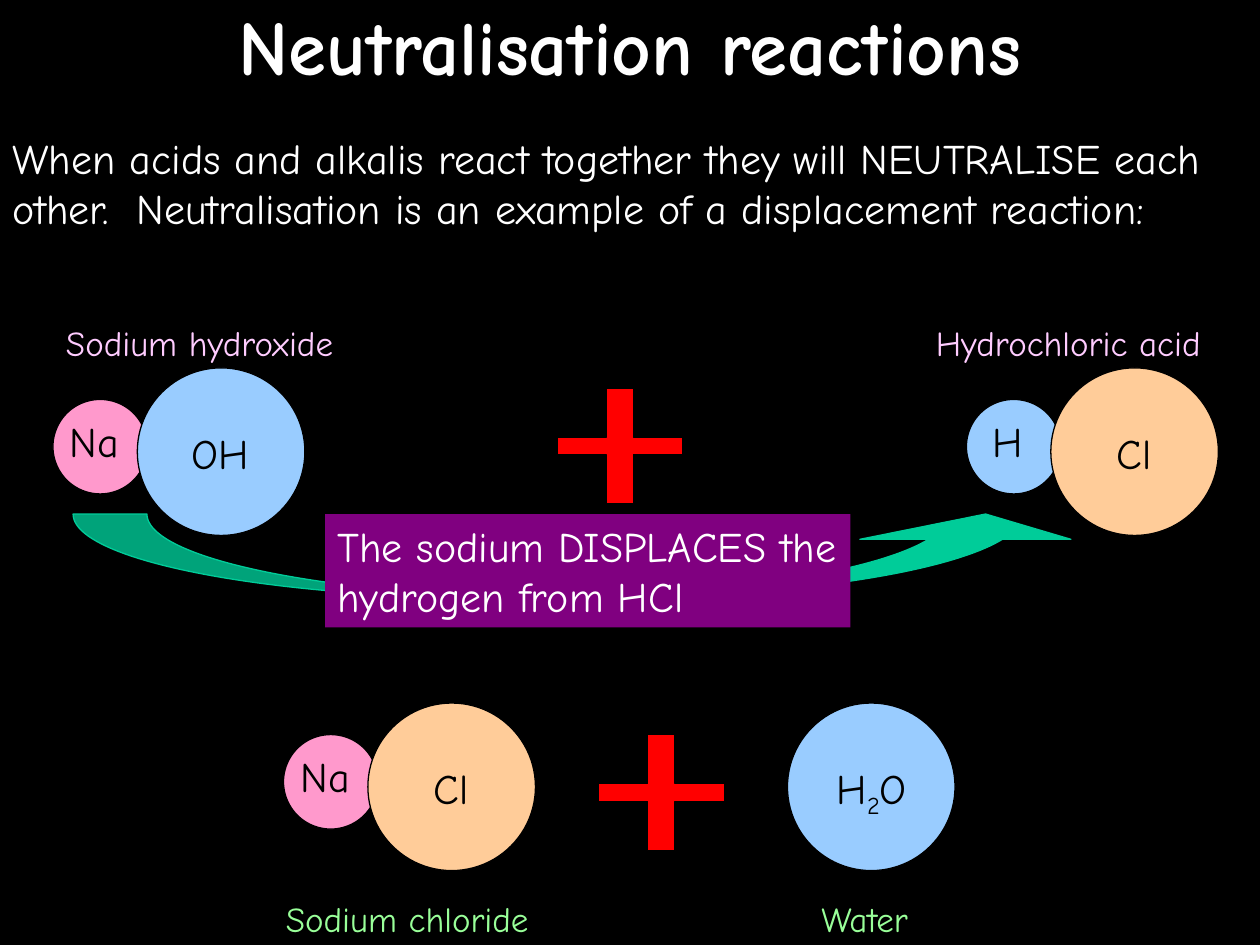
from dataclasses import dataclass

from pptx import Presentation
from pptx.dml.color import RGBColor
from pptx.enum.shapes import MSO_SHAPE
from pptx.enum.text import MSO_ANCHOR, MSO_AUTO_SIZE, PP_ALIGN
from pptx.slide import Slide
from pptx.util import Inches, Pt

BLACK = RGBColor(0x00, 0x00, 0x00)
WHITE = RGBColor(0xFF, 0xFF, 0xFF)
PINK = RGBColor(0xFF, 0x99, 0xCC)
BLUE = RGBColor(0x99, 0xCC, 0xFF)
ORANGE = RGBColor(0xFF, 0xCC, 0x99)
LILAC = RGBColor(0xFF, 0xCC, 0xFF)
LIME = RGBColor(0x99, 0xFF, 0x99)
TEAL = RGBColor(0x00, 0xCC, 0x99)
PURPLE = RGBColor(0x80, 0x00, 0x80)
RED = RGBColor(0xFF, 0x00, 0x00)

SMALL_ATOM = 0.75
LARGE_ATOM = 1.33


@dataclass
class ReactionPage:
    page: Slide
    font: str = "Comic Neue"
    body_size: int = 24
    label_size: int = 20

    def add_span(self, para, text, size, color, bold=False):
        span = para.add_run()
        span.text = text
        span.font.name = self.font
        span.font.size = Pt(size)
        span.font.color.rgb = color
        span.font.bold = bold
        return span

    def title(self, text):
        box = self.page.shapes.title
        box.left, box.top = Inches(0), Inches(0)
        box.width, box.height = Inches(10), Inches(0.71)
        frame = box.text_frame
        frame.auto_size = MSO_AUTO_SIZE.NONE
        frame.vertical_anchor = MSO_ANCHOR.MIDDLE
        para = frame.paragraphs[0]
        para.alignment = PP_ALIGN.CENTER
        self.add_span(para, text, 44, WHITE, bold=True)

    def text(self, text, left, top, width, height, size, color,
             align=PP_ALIGN.LEFT, fill=None):
        box = self.page.shapes.add_textbox(
            Inches(left), Inches(top), Inches(width), Inches(height))
        if fill is not None:
            box.fill.solid()
            box.fill.fore_color.rgb = fill
        frame = box.text_frame
        frame.word_wrap = True
        frame.auto_size = MSO_AUTO_SIZE.SHAPE_TO_FIT_TEXT
        para = frame.paragraphs[0]
        para.alignment = align
        self.add_span(para, text, size, color)
        return para

    def body(self, text, left, top, width, height, fill=None):
        self.text(text, left, top, width, height, self.body_size, WHITE, fill=fill)

    def label(self, text, left, top, width, color, align=PP_ALIGN.LEFT):
        self.text(text, left, top, width, 0.44, self.label_size, color, align)

    def symbol(self, text, center, top):
        return self.text(text, center - 0.5, top, 1, 0.5,
                         self.body_size, BLACK, PP_ALIGN.CENTER)

    def shape(self, kind, left, top, width, height, fill, line=BLACK, adjustments=()):
        shape = self.page.shapes.add_shape(
            kind, Inches(left), Inches(top), Inches(width), Inches(height))
        shape.shadow.inherit = False
        shape.fill.solid()
        shape.fill.fore_color.rgb = fill
        shape.line.color.rgb = line
        shape.line.width = Pt(0.75)
        for index, value in enumerate(adjustments):
            shape.adjustments[index] = value

    def atom(self, left, top, diameter, fill):
        self.shape(MSO_SHAPE.OVAL, left, top, diameter, diameter, fill)

    def molecule(self, left, top, small, small_fill, large, large_fill):
        """Draw a small atom tucked behind a large one."""
        self.atom(left, top + 0.25, SMALL_ATOM, small_fill)
        self.atom(left + 0.67, top, LARGE_ATOM, large_fill)
        self.symbol(large, left + 1.33, top + 0.42)
        self.symbol(small, left + 0.33, top + 0.33)

    def plus(self, left, top):
        self.shape(MSO_SHAPE.CROSS, left, top, 1, 0.92, RED, adjustments=[0.425])


def main():
    deck = Presentation()
    deck.slide_width, deck.slide_height = Inches(10), Inches(7.5)
    page = deck.slides.add_slide(deck.slide_layouts[5])
    page.background.fill.solid()
    page.background.fill.fore_color.rgb = BLACK
    reaction = ReactionPage(page)

    reaction.title("Neutralisation reactions")
    reaction.body("When acids and alkalis react together they will NEUTRALISE each "
                  "other.  Neutralisation is an example of a displacement reaction:",
                  0, 1, 10, 0.9)

    reactant_top, product_top = 2.92, 5.58
    reaction.molecule(0.42, reactant_top, "Na", PINK, "OH", BLUE)
    reaction.label("Sodium hydroxide", 0.25, 2.5, 2.67, LILAC, PP_ALIGN.CENTER)
    reaction.molecule(7.67, reactant_top, "H", BLUE, "Cl", ORANGE)
    reaction.label("Hydrochloric acid", 7.33, 2.5, 2.67, LILAC)

    reaction.shape(MSO_SHAPE.CURVED_UP_ARROW, 0.58, 4.08, 8.08, 0.67,
                   TEAL, TEAL, adjustments=[0.875, 2.5, 0.3])
    reaction.body("The sodium DISPLACES the hydrogen from HCl",
                  2.58, 4.08, 4.17, 0.9, fill=PURPLE)

    reaction.molecule(2.25, product_top, "Na", PINK, "Cl", ORANGE)
    reaction.label("Sodium chloride", 2.17, 7.07, 2.83, LIME)

    reaction.atom(6.25, product_top, LARGE_ATOM, BLUE)
    water = reaction.symbol("H", 6.92, product_top + 0.42)
    subscript = reaction.add_span(water, "2", reaction.body_size, BLACK)
    subscript.font._element.set("baseline", "-25000")
    reaction.add_span(water, "O", reaction.body_size, BLACK)
    reaction.label("Water", 6.42, 7.07, 1.58, LIME)

    reaction.plus(4.42, 3.08)
    reaction.plus(4.75, 5.83)

    deck.save("out.pptx")


if __name__ == "__main__":
    main()
